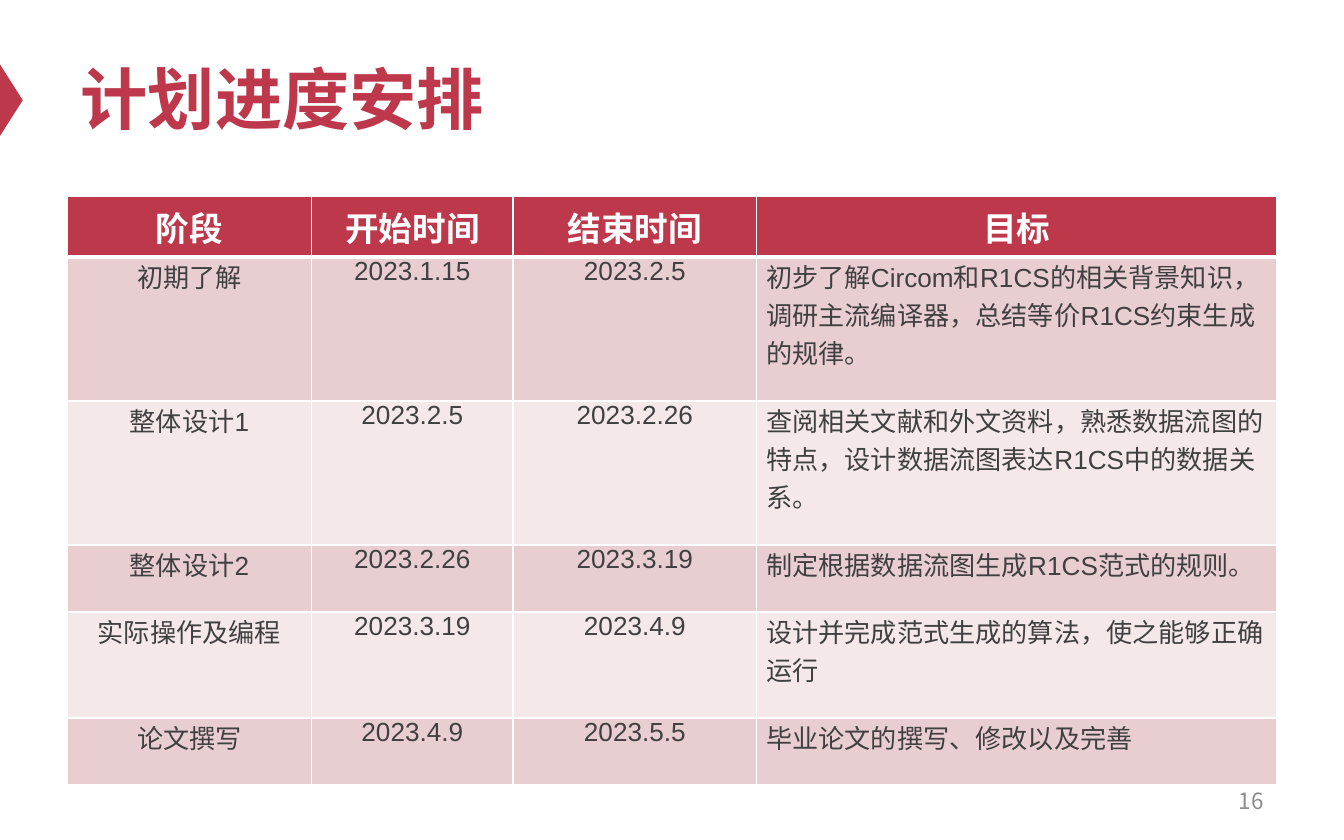
from lxml import etree
from pptx import Presentation
from pptx import util as u
from pptx.dml import color
from pptx.enum import shapes, text
from pptx.oxml import ns

COLORS = {"red": "BE384B", "white": "FFFFFF", "ink": "404040", "gray": "8C8C8C",
          "band_dark": "E8CED0", "band_light": "F4E8E9"}
LATIN, CHINESE = "Arial", "Noto Sans CJK SC"

HEADER = ["阶段", "开始时间", "结束时间", "目标"]
STAGES = [
    ["初期了解", "2023.1.15", "2023.2.5",
     "初步了解Circom和R1CS的相关背景知识，调研主流编译器，总结等价R1CS约束生成的规律。"],
    ["整体设计1", "2023.2.5", "2023.2.26",
     "查阅相关文献和外文资料，熟悉数据流图的特点，设计数据流图表达R1CS中的数据关系。"],
    ["整体设计2", "2023.2.26", "2023.3.19", "制定根据数据流图生成R1CS范式的规则。"],
    ["实际操作及编程", "2023.3.19", "2023.4.9", "设计并完成范式生成的算法，使之能够正确运行"],
    ["论文撰写", "2023.4.9", "2023.5.5", "毕业论文的撰写、修改以及完善"],
]
COLUMN_WIDTHS = [4.62, 3.81, 4.6, 9.83]
ROW_HEIGHTS = [1.15, 2.72, 2.72, 1.27, 2, 1.27]


def rgb(name):
    return color.RGBColor.from_string(COLORS[name])


def write(text_frame, content, size, color_name, align, bold=False, latin=LATIN):
    text_frame.text = content
    paragraph = text_frame.paragraphs[0]
    paragraph.alignment = align
    run = paragraph.runs[0]
    run.font.size = u.Pt(size)
    run.font.bold = bold
    run.font.name = latin
    run.font.color.rgb = rgb(color_name)
    east_asian = etree.Element(ns.qn("a:ea"), typeface=CHINESE)
    run.font._element.find(ns.qn("a:latin")).addnext(east_asian)


def set_borders(cell, top, bottom):
    """Draw white cell borders; top and bottom are widths in points."""
    properties = cell._tc.get_or_add_tcPr()
    for side, width in (("L", 1), ("R", 1), ("T", top), ("B", bottom)):
        line = etree.SubElement(properties, ns.qn(f"a:ln{side}"), w=str(u.Pt(width)))
        fill = etree.SubElement(line, ns.qn("a:solidFill"))
        etree.SubElement(fill, ns.qn("a:srgbClr"), val=COLORS["white"])


def add_heading(slide, left, top, width, height):
    """Place the title and the marker that points to it from the slide's edge."""
    marker = slide.shapes.add_shape(
        shapes.MSO_SHAPE.ISOSCELES_TRIANGLE,
        left - u.Cm(1.73), top + u.Cm(1.15), u.Cm(1.35), u.Cm(0.43))
    marker.rotation = 90
    marker.shadow.inherit = False
    marker.fill.solid()
    marker.fill.fore_color.rgb = rgb("red")
    marker.line.fill.background()

    title = slide.shapes.title
    title.left, title.top, title.width, title.height = left, top, width, height
    frame = title.text_frame
    frame.auto_size = text.MSO_AUTO_SIZE.NONE
    frame.vertical_anchor = text.MSO_ANCHOR.MIDDLE
    write(frame, "计划进度安排", 36, "red", text.PP_ALIGN.LEFT, bold=True)


def add_schedule(slide, left, top, width, height):
    rows = [HEADER] + STAGES
    table = slide.shapes.add_table(len(rows), len(HEADER), left, top, width, height).table
    for column, column_width in zip(table.columns, COLUMN_WIDTHS):
        column.width = u.Cm(column_width)
    for row, row_height in zip(table.rows, ROW_HEIGHTS):
        row.height = u.Cm(row_height)

    for row_index, contents in enumerate(rows):
        is_header = row_index == 0
        band = "band_dark" if row_index % 2 else "band_light"
        for column_index, content in enumerate(contents):
            cell = table.cell(row_index, column_index)
            is_goal = column_index == len(HEADER) - 1 and not is_header
            align = text.PP_ALIGN.LEFT if is_goal else text.PP_ALIGN.CENTER
            set_borders(cell, top=3 if row_index == 1 else 1, bottom=3 if is_header else 1)
            cell.fill.solid()
            cell.fill.fore_color.rgb = rgb("red" if is_header else band)
            if is_header:
                write(cell.text_frame, content, 18, "white", align, bold=True)
            else:
                cell.margin_left = cell.margin_right = u.Cm(0.18)
                cell.margin_top = cell.margin_bottom = 0
                write(cell.text_frame, content, 14, "ink", align)


def add_page_number(slide, left, top, width, height):
    frame = slide.shapes.add_textbox(left, top, width, height).text_frame
    frame.word_wrap = True
    frame.vertical_anchor = text.MSO_ANCHOR.MIDDLE
    write(frame, "16", 12, "gray", text.PP_ALIGN.RIGHT, latin=CHINESE)


def main():
    presentation = Presentation()
    presentation.slide_width, presentation.slide_height = u.Cm(25.4), u.Cm(15.88)
    slide = presentation.slides.add_slide(presentation.slide_layouts[5])
    margin = u.Cm(1.27)
    content_width = presentation.slide_width - 2 * margin
    add_heading(slide, margin, u.Cm(0.53), content_width, u.Cm(2.64))
    add_page_number(slide, u.Cm(18.21), u.Cm(14.71), u.Cm(5.92), u.Cm(0.84))
    add_schedule(slide, margin, u.Cm(3.71), content_width, u.Cm(sum(ROW_HEIGHTS)))
    presentation.save("out.pptx")


if __name__ == "__main__":
    main()
